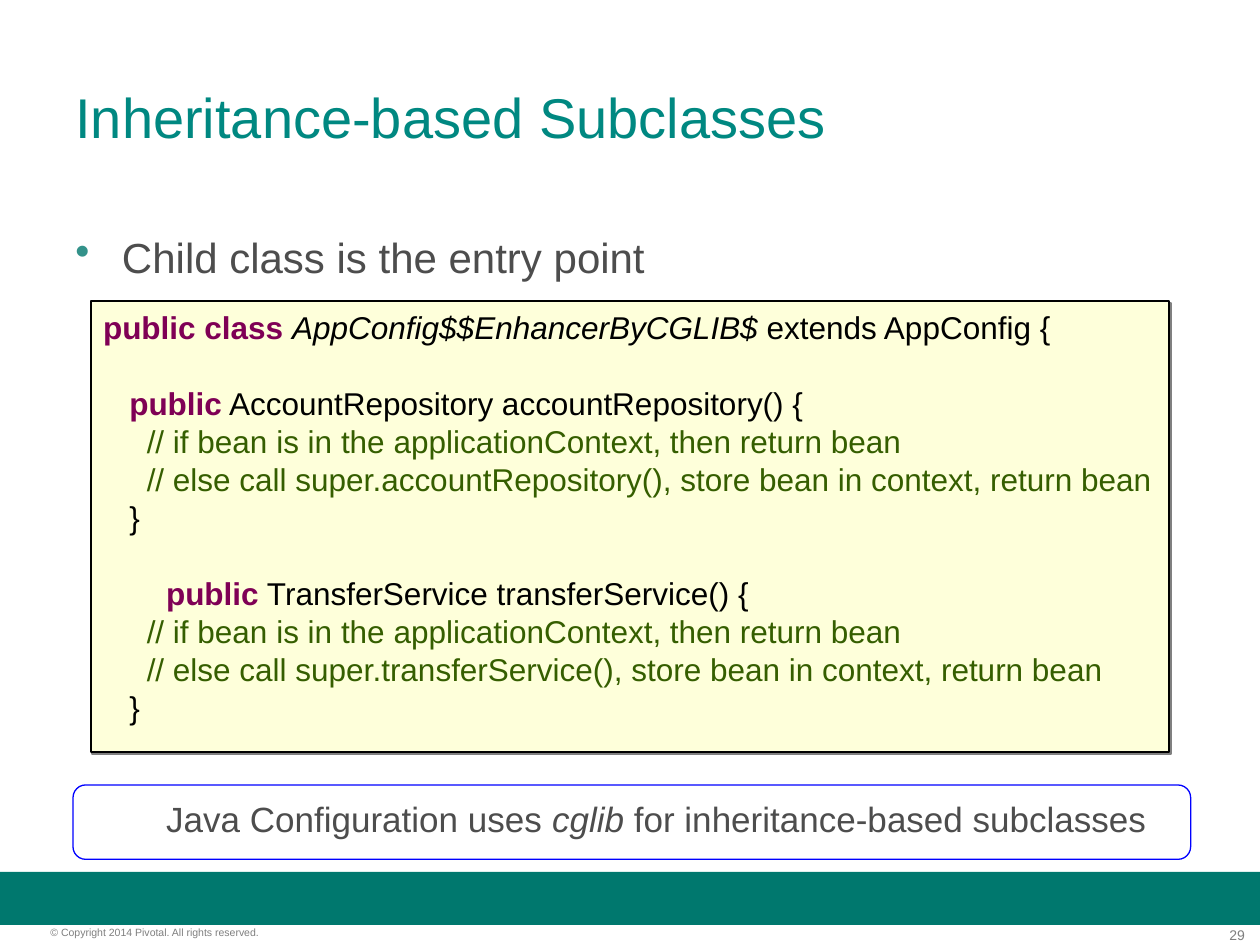
from lxml.etree import SubElement
from pptx import Presentation
from pptx.dml.color import RGBColor
from pptx.enum.shapes import MSO_SHAPE as Preset
from pptx.enum.text import MSO_ANCHOR as Anchor, PP_ALIGN as Align
from pptx.oxml.ns import qn
from pptx.util import Inches, Pt

WIDTH, HEIGHT = 10, 7.5
FONT = "Arial"
TEAL, BAND, GREY, FOOT = "008881", "00786E", "4D4D4D", "7F7F7F"
BLACK, KEYWORD, COMMENT = "000000", "7F0055", "355E00"
LINE_PITCH = 21.7

KEY = {"color": KEYWORD, "bold": True}
ITALIC = {"italic": True}
NOTE = {"color": COMMENT}


def method(indent, returned, name):
    return [
        [(indent, {}), ("public", KEY), (f" {returned} {name}() {{", {})],
        [("     // if bean is in the applicationContext, then return bean", NOTE)],
        [(f"     // else call super.{name}(), store bean in context, return bean", NOTE)],
        [("   }", {})],
    ]


title = [[("Inheritance-based Subclasses", {})]]
point = [[("Child class is the entry point", {})]]
class_head = [[("public class ", KEY), ("AppConfig$$EnhancerByCGLIB$", ITALIC),
               (" extends AppConfig {", {})]]
code_blocks = [
    class_head,
    method("   ", "AccountRepository", "accountRepository"),
    method("\t", "TransferService", "transferService"),
]
summary = [[("Java Configuration uses ", {}), ("cglib", ITALIC),
            (" for inheritance-based subclasses", {})]]
copyright_line = [[("© Copyright 2014 Pivotal. All rights reserved.", {})]]
page_number = [[("29", {})]]

deck = Presentation()
deck.slide_width, deck.slide_height = Inches(WIDTH), Inches(HEIGHT)
slide = deck.slides.add_slide(deck.slide_layouts[6])


def rgb(color):
    return RGBColor.from_string(color)


def put(target, values):
    for name, value in values.items():
        setattr(target, name, value)


def panel(preset, area, fill, line=None, width=0):
    part = slide.shapes.add_shape(preset, *map(Inches, area))
    part.shadow.inherit = False
    part.fill.solid()
    part.fill.fore_color.rgb = rgb(fill)
    if line:
        part.line.color.rgb = rgb(line)
        part.line.width = Pt(width)
    else:
        part.line.fill.background()
    return part


def write(frame, lines, size, color, align=Align.LEFT, anchor=Anchor.TOP, inset=(0.1, 0.05)):
    side, edge = map(Inches, inset)
    put(frame, {"word_wrap": True, "vertical_anchor": anchor, "margin_left": side,
                "margin_right": side, "margin_top": edge, "margin_bottom": edge})
    for number, line in enumerate(lines):
        paragraph = frame.add_paragraph() if number else frame.paragraphs[0]
        paragraph.alignment = align
        for words, style in line:
            run = paragraph.add_run()
            run.text = words
            run.font.color.rgb = rgb(style.get("color", color))
            put(run.font, {"name": FONT, "size": Pt(size), "bold": style.get("bold", False),
                           "italic": style.get("italic", False)})
    return frame.paragraphs


def text(area, lines, size, color, **layout):
    box = slide.shapes.add_textbox(*map(Inches, area))
    return write(box.text_frame, lines, size, color, **layout)


def add_bullet(paragraph, mark, color, indent):
    props = paragraph._p.get_or_add_pPr()
    put_indent = {"marL": Inches(indent), "indent": -Inches(indent)}
    for name, value in put_indent.items():
        props.set(name, str(value))
    tint = SubElement(props, qn("a:buClr"))
    SubElement(tint, qn("a:srgbClr"), val=color)
    SubElement(props, qn("a:buChar"), char=mark)


def add_shadow(part, color, distance, degrees):
    effects = part._element.spPr.find(qn("a:effectLst"))
    shadow = SubElement(effects, qn("a:outerShdw"), dist=str(Pt(distance)),
                        dir=str(degrees * 60000), algn="ctr", rotWithShape="0")
    SubElement(shadow, qn("a:srgbClr"), val=color)


margin = 0.05 * WIDTH
content = WIDTH - 2 * margin
footer_top = 0.98 * HEIGHT

panel(Preset.RECTANGLE, (0, 6.92, WIDTH, 0.42), BAND)
text((9.3, footer_top, 0.58, 0.13), page_number, 8, FOOT, align=Align.RIGHT, inset=(0, 0))
text((0.4, footer_top, 2.49, 0.1), copyright_line, 6, FOOT, inset=(0, 0))

text((margin, 0.3, content, 1.25), title, 32, TEAL, anchor=Anchor.MIDDLE)

code_left = 0.72
code_box = panel(Preset.RECTANGLE, (code_left, 2.39, WIDTH - 2 * code_left, 3.58),
                 "FEFFDA", BLACK, 1)
add_shadow(code_box, "808080", 1.4, 45)
code_lines = write(code_box.text_frame, sum(code_blocks, []), 18, BLACK)
for line in code_lines:
    line.line_spacing = Pt(LINE_PITCH)
first = 0
for block in code_blocks[:-1]:
    first += len(block)
    code_lines[first].space_before = Pt(LINE_PITCH)

add_bullet(text((margin, 1.79, content, 0.5), point, 24, GREY)[0], "•", "33928A", 0.37)

summary_frame = panel(Preset.ROUNDED_RECTANGLE, (0.58, 6.23, 8.87, 0.59), "FFFFFF", "0000FF")
summary_frame.adjustments[0] = 0.17
text((1.22, 6.28, 8.16, 0.43), summary, 20, GREY, anchor=Anchor.MIDDLE)

deck.save("out.pptx")
